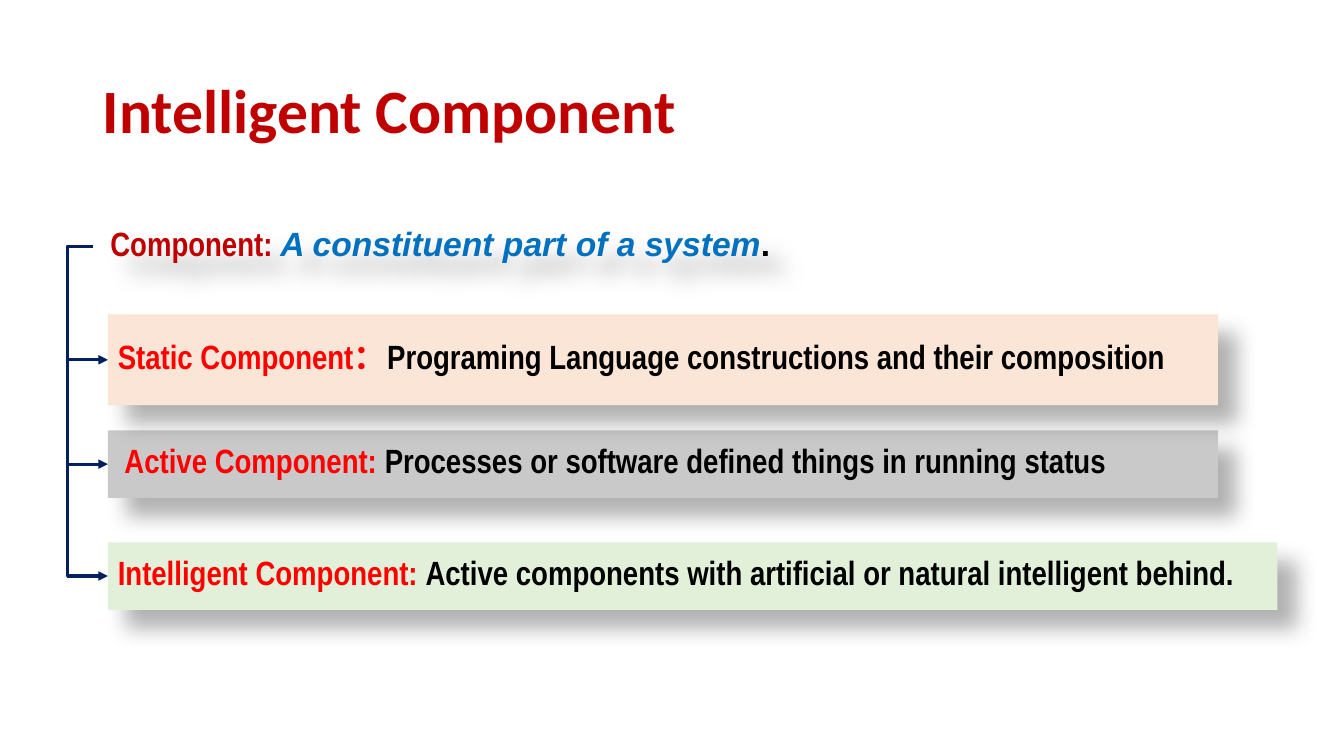
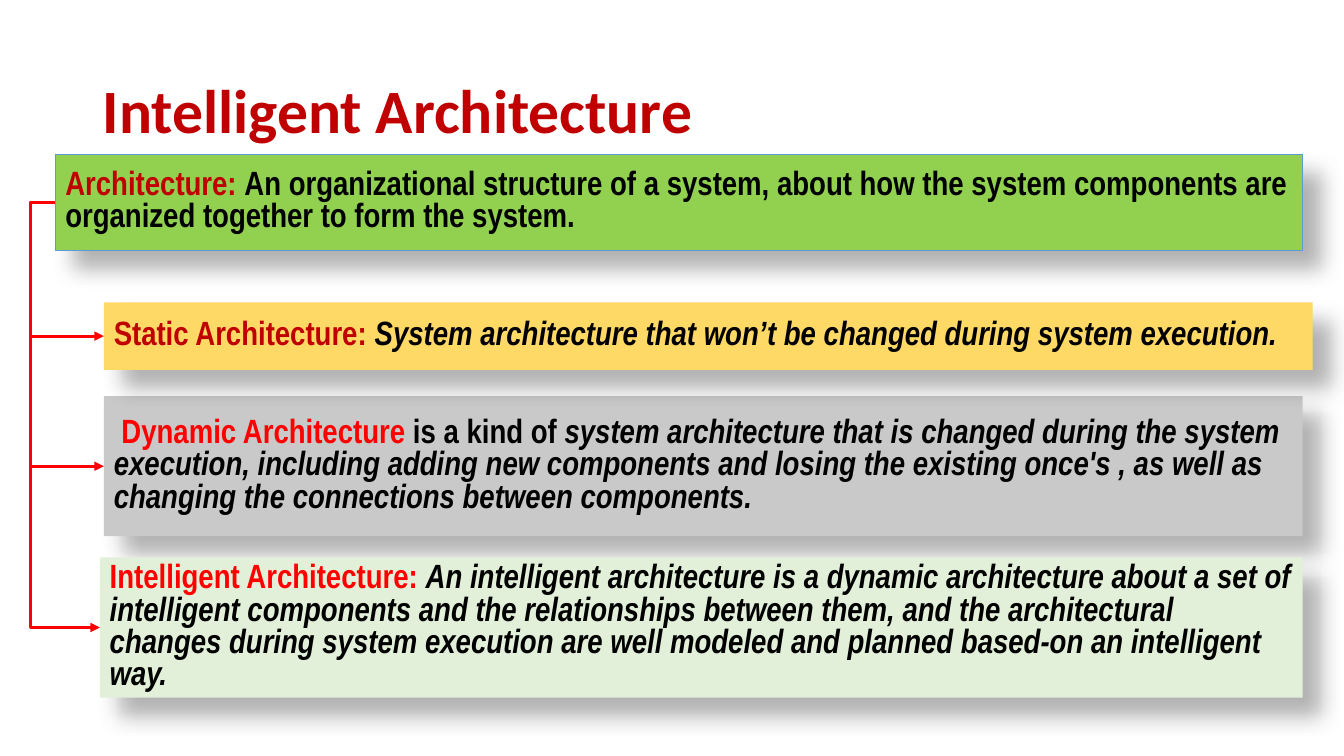
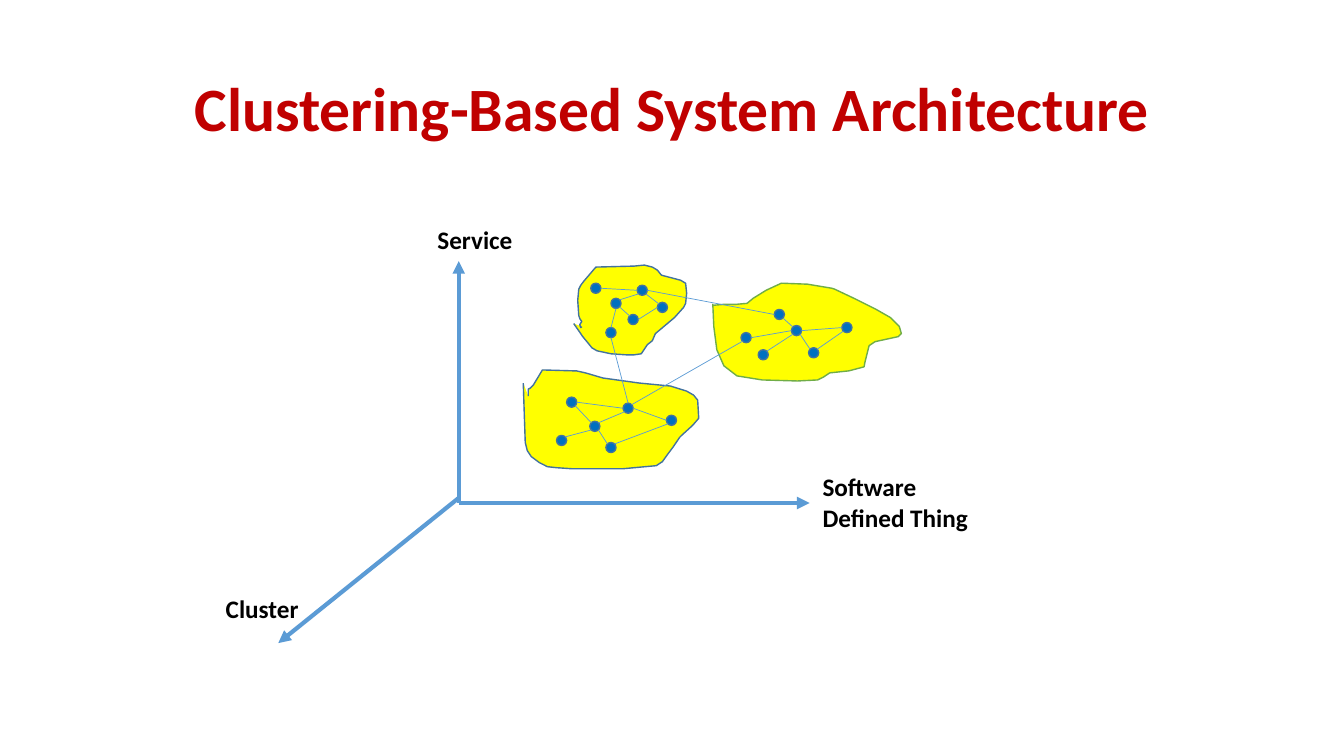
import math

import pptx
import pptx.dml.color
import pptx.enum.shapes
import pptx.enum.text
import pptx.oxml
import pptx.oxml.ns
import pptx.util
from pptx.util import Inches

MAROON, RED, BLUE, NAVY, BLACK = "C00000", "FF0000", "0070C0", "002060", "000000"
GREY, GREEN, YELLOW = "C9C9C9", "E2F0D9", "FFFF00"
AXIS, OUTLINE = "5B9BD5", "43739E"
SHAPE = pptx.enum.shapes.MSO_SHAPE
CONNECTOR = pptx.enum.shapes.MSO_CONNECTOR
NODE_RADIUS = 0.05

OUTLINES = {
    "right": ("70AD47", True, [
        (7.07, 3.02), (7.08, 3.24), (7.11, 3.47), (7.18, 3.63), (7.31, 3.73),
        (7.56, 3.77), (7.91, 3.78), (8.11, 3.77), (8.17, 3.74), (8.23, 3.7),
        (8.42, 3.68), (8.57, 3.64), (8.58, 3.59), (8.61, 3.47), (8.62, 3.43),
        (8.68, 3.39), (8.91, 3.34), (8.94, 3.31), (8.92, 3.24), (8.83, 3.15),
        (8.69, 3.07), (8.47, 2.96), (8.28, 2.87), (8.25, 2.86), (8.01, 2.82),
        (7.75, 2.81), (7.6, 2.88), (7.47, 2.96), (7.41, 3.01), (7.3, 3.02),
        (7.18, 3.02), (7.07, 3.03)]),
    "top": (OUTLINE, False, [
        (5.69, 3.21), (5.76, 3.31), (5.78, 3.34), (5.83, 3.4), (5.87, 3.45),
        (5.92, 3.48), (6.06, 3.51), (6.21, 3.52), (6.29, 3.52), (6.36, 3.51),
        (6.42, 3.42), (6.47, 3.38), (6.5, 3.31), (6.69, 3.15), (6.78, 3.05),
        (6.8, 3.01), (6.81, 2.91), (6.8, 2.81), (6.75, 2.78), (6.56, 2.73),
        (6.52, 2.68), (6.47, 2.65), (6.39, 2.63), (6.29, 2.64), (5.91, 2.65),
        (5.79, 2.79), (5.76, 2.83), (5.74, 2.87), (5.73, 2.98), (5.74, 3.13),
        (5.75, 3.16), (5.77, 3.19), (5.75, 3.22), (5.76, 3.25), (5.77, 3.24)]),
    "bottom": (OUTLINE, False, [
        (5.19, 3.8), (5.2, 4.1), (5.21, 4.39), (5.23, 4.47), (5.27, 4.53),
        (5.35, 4.59), (5.43, 4.63), (5.52, 4.64), (5.67, 4.65), (5.83, 4.65),
        (6.18, 4.65), (6.51, 4.62), (6.57, 4.58), (6.62, 4.51), (6.68, 4.43),
        (6.74, 4.34), (6.76, 4.32), (6.87, 4.22), (6.93, 4.15), (6.92, 3.97),
        (6.88, 3.92), (6.81, 3.88), (6.65, 3.83), (6.34, 3.8), (5.98, 3.75),
        (5.81, 3.7), (5.72, 3.68), (5.38, 3.67), (5.29, 3.82), (5.26, 3.85),
        (5.24, 3.86), (5.24, 3.93)]),
}

NODES = {
    "t0": (5.91, 2.86), "t1": (6.11, 3.01), "t2": (6.37, 2.88),
    "t3": (6.57, 3.05), "t4": (6.28, 3.17), "t5": (6.06, 3.3),
    "r0": (7.73, 3.12), "r1": (7.4, 3.35), "r2": (7.9, 3.28),
    "r3": (8.4, 3.25), "r4": (8.07, 3.5), "r5": (7.57, 3.52),
    "b0": (6.23, 4.05), "b1": (6.06, 4.44), "b2": (5.9, 4.23),
    "b3": (6.66, 4.17), "b4": (5.57, 4.37), "b5": (5.67, 3.99),
}

LINKS = ("t0-t2 t1-t4 t4-t3 t2-t3 t1-t2 t1-t5 r0-r2 r5-r2 r4-r3 r2-r4 r2-r3 r1-r2 "
         "b5-b2 b1-b3 b2-b1 b4-b2 b2-b0 b5-b0 b0-b3 t2-r0 b0-t5 b0-r1").split()


def rgb(value):
    return pptx.dml.color.RGBColor.from_string(value)


def add_xml(parent, tag, **attributes):
    child = pptx.oxml.parse_xml(f"<a:{tag} {pptx.oxml.ns.nsdecls('a')}/>")
    for name, value in attributes.items():
        child.set(name, str(value))
    parent.append(child)
    return child


def add_run(p, text, size, font, color, italic=False):
    r = p.add_run()
    r.text = text
    r.font.size = pptx.util.Pt(size)
    r.font.name = font
    r.font.bold = True
    r.font.italic = italic
    r.font.color.rgb = rgb(color)


def add_slide(prs, title, left=0.92, top=0.4):
    s = prs.slides.add_slide(prs.slide_layouts[5])
    sp = s.shapes.title
    sp.left, sp.top, sp.width, sp.height = map(Inches, (left, top, 11.5, 1.45))
    tf = sp.text_frame
    tf.vertical_anchor = pptx.enum.text.MSO_ANCHOR.MIDDLE
    p = tf.paragraphs[0]
    p.alignment = pptx.enum.text.PP_ALIGN.LEFT
    p.line_spacing = 0.9
    add_run(p, title, 44, "Calibri", MAROON)
    return s


def paint(sp, fill=None, line=None, width=1):
    sp.shadow.inherit = False
    if fill:
        sp.fill.solid()
        sp.fill.fore_color.rgb = rgb(fill)
    else:
        sp.fill.background()
    if line:
        sp.line.color.rgb = rgb(line)
        sp.line.width = pptx.util.Pt(width)
    else:
        sp.line.fill.background()


def add_shadow(sp):
    effects = sp._element.spPr.find(pptx.oxml.ns.qn("a:effectLst"))
    shadow = add_xml(effects, "outerShdw", blurRad=pptx.util.Pt(15), dist=pptx.util.Pt(18),
                     dir=45 * 60000, algn="ctr", rotWithShape=0)
    add_xml(add_xml(shadow, "srgbClr", val=BLACK), "alpha", val=30000)


def add_definition(s, box, fill, runs, line=None):
    sp = s.shapes.add_shape(SHAPE.RECTANGLE, *map(Inches, box))
    paint(sp, fill, line, 0.5)
    add_shadow(sp)
    tf = sp.text_frame
    tf.word_wrap = True
    tf.vertical_anchor = pptx.enum.text.MSO_ANCHOR.MIDDLE
    p = tf.paragraphs[0]
    p.alignment = pptx.enum.text.PP_ALIGN.LEFT
    p.line_spacing = 0.8
    for text, color, italic, *font in runs:
        add_run(p, text, 24, font[0] if font else "Arial Narrow", color, italic)
    return sp


def style_connector(cxn, color, width, arrow=False):
    cxn.line.color.rgb = rgb(color)
    cxn.line.width = pptx.util.Pt(width)
    if arrow:
        add_xml(cxn.line._get_or_add_ln(), "tailEnd", type="triangle")
    add_xml(cxn._element.spPr, "effectLst")


def add_branches(s, root, targets, color):
    for target in targets:
        cxn = s.shapes.add_connector(CONNECTOR.ELBOW, 0, 0, 0, 0)
        cxn.begin_connect(root, 1)
        cxn.end_connect(target, 1)
        geometry = cxn._element.spPr.find(pptx.oxml.ns.qn("a:prstGeom"))
        bend = round(-100000 * Inches(0.25) / (target.left - root.left))
        add_xml(geometry.get_or_add_avLst(), "gd", name="adj1", fmla=f"val {bend}")
        style_connector(cxn, color, 2.25, arrow=True)


def add_line(s, start, end, width, arrow=False):
    cxn = s.shapes.add_connector(CONNECTOR.STRAIGHT, *map(Inches, (*start, *end)))
    style_connector(cxn, AXIS, width, arrow)


def add_label(s, text, left, top, width, height):
    sp = s.shapes.add_textbox(*map(Inches, (left, top, width, height)))
    sp.text_frame.word_wrap = True
    add_run(sp.text_frame.paragraphs[0], text, 18, "Calibri", BLACK)


def add_outline(s, color, closed, points):
    (x, y), *rest = [(round(x * 100), round(y * 100)) for x, y in points]
    builder = s.shapes.build_freeform(x, y, scale=Inches(0.01))
    builder.add_line_segments(rest, close=closed)
    paint(builder.convert_to_shape(), YELLOW, color)


def add_node(s, x, y):
    size = 2 * NODE_RADIUS
    box = (x - NODE_RADIUS, y - NODE_RADIUS, size, size)
    paint(s.shapes.add_shape(SHAPE.OVAL, *map(Inches, box)), BLUE, OUTLINE)


def rim_point(node, other):
    step = math.pi / 4
    angle = math.atan2(other[1] - node[1], other[0] - node[0])
    angle = round(angle / step) * step
    return (node[0] + NODE_RADIUS * math.cos(angle),
            node[1] + NODE_RADIUS * math.sin(angle))


def component_slide(prs):
    s = add_slide(prs, "Intelligent Component")
    root = add_definition(s, (0.92, 2.11, 10.62, 0.67), None, [
        (" Component: ", MAROON, False),
        ("A constituent part of a system", BLUE, True, "Arial"),
        (".", BLACK, False, "Arial")])
    active = add_definition(s, (1.07, 4.27, 11.01, 0.67), GREY, [
        (" Active Component: ", RED, False),
        ("Processes or software defined things in running status", BLACK, False)])
    static = add_definition(s, (1.07, 3.12, 11.01, 0.9), "FBE5D6", [
        ("Static Component：", RED, False),
        ("Programing Language constructions and their composition", BLACK, False)])
    intelligent = add_definition(s, (1.07, 5.38, 11.6, 0.67), GREEN, [
        ("Intelligent Component: ", RED, False),
        ("Active components with artificial or natural intelligent behind.", BLACK, False)])
    add_branches(s, root, (static, active, intelligent), NAVY)


def architecture_slide(prs):
    s = add_slide(prs, "Intelligent Architecture")
    root = add_definition(s, (0.55, 1.53, 12.37, 0.95), "92D050", [
        ("Architecture: ", MAROON, False),
        ("An organizational structure of a system, about how the system components "
         "are organized together to form the system.", BLACK, False)], AXIS)
    dynamic = add_definition(s, (1.03, 3.93, 11.89, 1.39), GREY, [
        (" Dynamic Architecture ", RED, False),
        ("is a kind of ", BLACK, False),
        ("system architecture that is changed during the system execution, including "
         "adding new components and losing the existing once's , as well as changing "
         "the connections between components.", BLACK, True)])
    static = add_definition(s, (1.03, 3, 11.99, 0.67), "FFD966", [
        ("Static Architecture: ", MAROON, False),
        ("System architecture that won’t be changed during system execution.", BLACK, True)])
    intelligent = add_definition(s, (0.99, 5.53, 11.93, 1.39), GREEN, [
        ("Intelligent Architecture: ", RED, False),
        ("An intelligent architecture is a dynamic architecture about a set of "
         "intelligent components and the relationships between them, and the "
         "architectural changes during system execution are well modeled and planned "
         "based-on an intelligent way.", BLACK, True)])
    add_branches(s, root, (static, dynamic, intelligent), RED)


def clustering_slide(prs):
    s = add_slide(prs, "Clustering-Based System Architecture", 1.83, 0.38)
    add_line(s, (4.55, 4.99), (4.55, 2.59), 3, arrow=True)
    add_line(s, (4.55, 4.94), (2.76, 6.38), 3, arrow=True)
    add_line(s, (4.55, 4.99), (8.03, 4.99), 3, arrow=True)
    add_label(s, "Service", 4.24, 2.18, 0.96, 0.4)
    add_label(s, "Software Defined Thing", 8.06, 4.63, 1.9, 0.71)
    add_label(s, "Cluster", 2.14, 5.84, 0.96, 0.4)
    for outline in OUTLINES.values():
        add_outline(s, *outline)
    for center in NODES.values():
        add_node(s, *center)
    for link in LINKS:
        a, b = (NODES[name] for name in link.split("-"))
        add_line(s, rim_point(a, b), rim_point(b, a), 0.5)


def main():
    prs = pptx.Presentation()
    prs.slide_width, prs.slide_height = Inches(13.33), Inches(7.5)
    component_slide(prs)
    architecture_slide(prs)
    clustering_slide(prs)
    prs.save("out.pptx")


if __name__ == "__main__":
    main()
